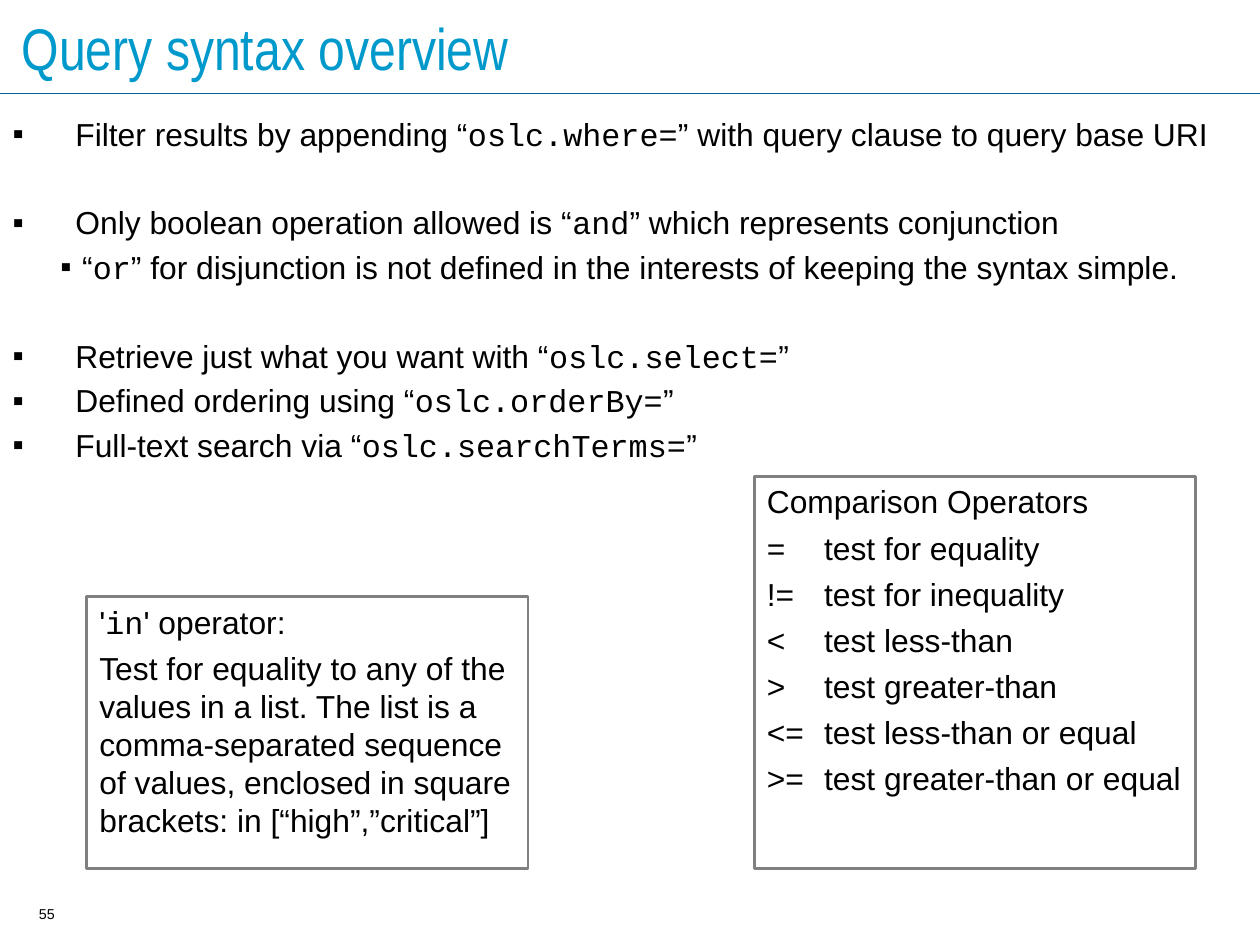
import pptx
import pptx.util
import pptx.dml.color
import pptx.enum.shapes
import pptx.enum.text
from lxml import etree
from pptx.oxml.ns import qn

Inches, Pt = pptx.util.Inches, pptx.util.Pt
ANCHOR, ALIGN = pptx.enum.text.MSO_ANCHOR, pptx.enum.text.PP_ALIGN
COLORS = {"text": "000000", "title": "0099CC", "rule": "006699", "border": "808080"}
BULLET = "▪"


def rgb(name):
    return pptx.dml.color.RGBColor.from_string(COLORS[name])


def write(shape, text, size=20, font="Arial", color="text", before=0, gaps=(),
          align=ALIGN.LEFT, anchor=ANCHOR.TOP, inset=0.06, wrap=True, indents=(), tab=None):
    """Fill a shape, one paragraph a line; words between backticks are code.

    gaps holds the paragraphs that stand apart, indents a (left, hanging) pair
    for each bulleted paragraph.
    """
    frame = shape.text_frame
    frame.word_wrap, frame.vertical_anchor = wrap, anchor
    frame.margin_left = frame.margin_right = Inches(0.11)
    frame.margin_top = frame.margin_bottom = Inches(inset)
    for index, line in enumerate(text.split("\n")):
        paragraph = frame.paragraphs[0] if index == 0 else frame.add_paragraph()
        paragraph.alignment = align
        paragraph.space_before = Pt(before + (28 if index in gaps else 0))
        properties = paragraph._p.get_or_add_pPr()
        if indents:
            left, hanging = indents[index]
            properties.set("marL", str(Inches(left)))
            properties.set("indent", str(-Inches(hanging)))
            bullet_color = etree.SubElement(properties, qn("a:buClr"))
            etree.SubElement(bullet_color, qn("a:srgbClr"), val=COLORS["text"])
            etree.SubElement(properties, qn("a:buFont"), typeface="Arial")
            etree.SubElement(properties, qn("a:buChar"), char=BULLET)
        if tab:
            stops = etree.SubElement(properties, qn("a:tabLst"))
            etree.SubElement(stops, qn("a:tab"), pos=str(Inches(tab)), algn="l")
        for part, words in enumerate(line.split("`")):
            if words:
                run = paragraph.add_run()
                run.text = words
                run.font.name = "Courier New" if part % 2 else font
                run.font.size = Pt(size)
                run.font.color.rgb = rgb(color)


# The page measures 28 by 21 centimetres.
CM_PER_INCH = 2.54
deck = pptx.Presentation()
deck.slide_width, deck.slide_height = Inches(28 / CM_PER_INCH), Inches(21 / CM_PER_INCH)
slide = deck.slides.add_slide(deck.slide_layouts[6])
shapes = slide.shapes

title_rule = shapes.add_connector(
    pptx.enum.shapes.MSO_CONNECTOR.STRAIGHT, 0, Inches(0.82), deck.slide_width, Inches(0.82))
title_rule.line.color.rgb = rgb("rule")
title_rule.line.width = Pt(0.75)
etree.SubElement(title_rule._element.spPr, qn("a:effectLst"))

page_number = shapes.add_textbox(Inches(0.1), Inches(7.89), Inches(0.62), Inches(0.21))
write(page_number, "55", size=9, align=ALIGN.CENTER, anchor=ANCHOR.MIDDLE, wrap=False)

title = shapes.add_textbox(Inches(0.08), Inches(0.09), Inches(10.85), Inches(0.64))
write(title, "Query syntax overview", size=37, font="Arial Narrow", color="title",
      anchor=ANCHOR.MIDDLE)

MAIN, SUB = (0.55, 0.55), (0.61, 0.19)
query_rules = shapes.add_textbox(0, Inches(0.94), deck.slide_width, Inches(6.78))
write(query_rules, """\
Filter results by appending “`oslc.where=`” with query clause to query base URI
Only boolean operation allowed is “`and`” which represents conjunction
“`or`” for disjunction is not defined in the interests of keeping the syntax simple.
Retrieve just what you want with “`oslc.select=`”
Defined ordering using “`oslc.orderBy=`”
Full-text search via “`oslc.searchTerms=`”""",
      before=4, gaps=(1, 3), indents=(MAIN, MAIN, SUB, MAIN, MAIN, MAIN))

COMPARISON = """\
Comparison Operators
= \ttest for equality
!= \ttest for inequality
< \ttest less-than
> \ttest greater-than
<= \ttest less-than or equal
>= \ttest greater-than or equal"""
IN_OPERATOR = """\
'`in`' operator:
Test for equality to any of the values in a list. The list is a comma-separated \
sequence of values, enclosed in square brackets: in [“high”,”critical”]"""

BOX_BOTTOM = 7.6
for left, top, text, tab in ((6.6, 4.17, COMPARISON, 0.5), (0.76, 5.22, IN_OPERATOR, None)):
    box = shapes.add_shape(pptx.enum.shapes.MSO_SHAPE.RECTANGLE, Inches(left), Inches(top),
                           Inches(3.86), Inches(BOX_BOTTOM - top))
    box.shadow.inherit = False
    box.fill.background()
    box.line.color.rgb = rgb("border")
    box.line.width = Pt(1.7)
    write(box, text, before=5, inset=0.05, tab=tab)

deck.save("out.pptx")
